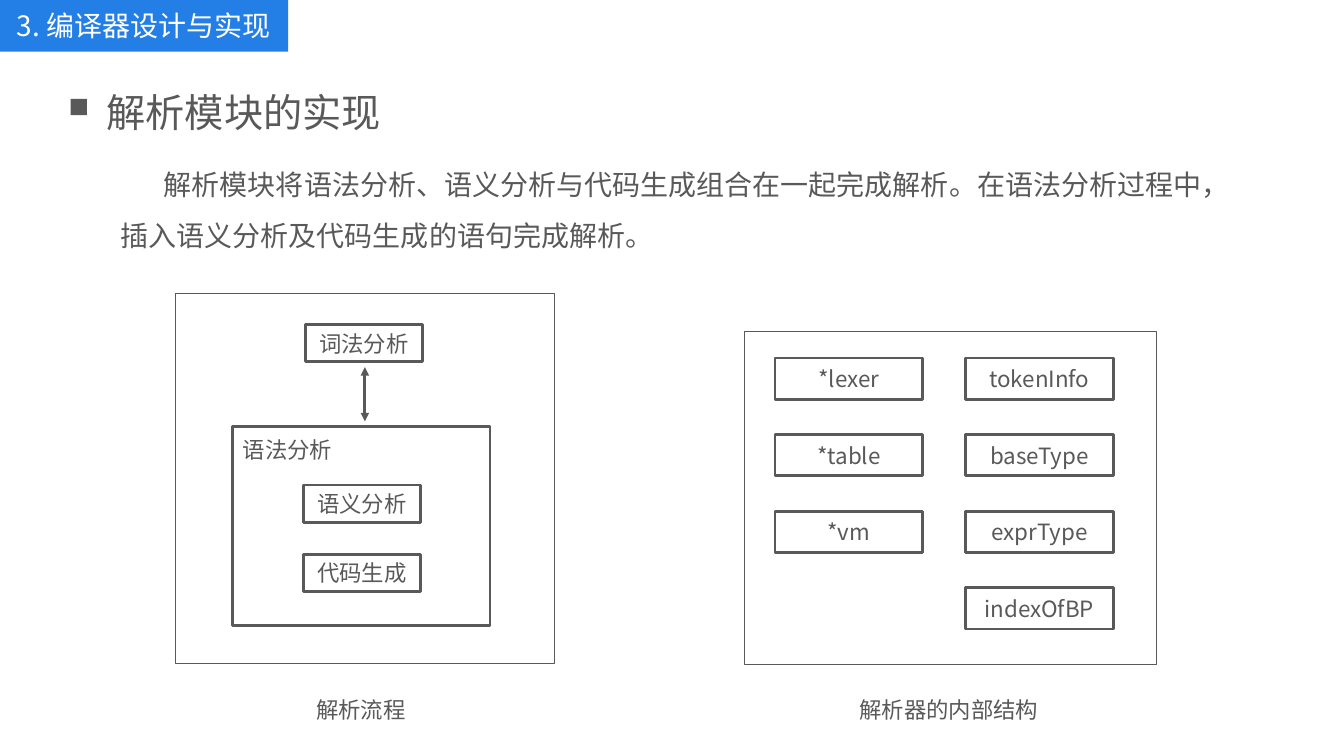
from pptx import Presentation
from pptx.dml.color import RGBColor
from pptx.enum.shapes import MSO_CONNECTOR as LINK, MSO_SHAPE as SHAPE
from pptx.enum.text import MSO_ANCHOR as ANCHOR, PP_ALIGN as ALIGN
from pptx.oxml.ns import qn
from pptx.util import Cm, Pt
from lxml.etree import SubElement

GREY = RGBColor(0x59, 0x59, 0x59)
BLUE = RGBColor(0x23, 0x7F, 0xE5)
WHITE = RGBColor(0xFF, 0xFF, 0xFF)
SANS = "Noto Sans CJK SC"


def write(shape, text, size, color=GREY, font=SANS, align=ALIGN.LEFT,
          anchor=ANCHOR.MIDDLE, space=1.0):
    frame = shape.text_frame
    frame.text = text
    frame.word_wrap = True
    frame.vertical_anchor = anchor
    para = frame.paragraphs[0]
    para.alignment = align
    para.line_spacing = space
    run = para.runs[0]
    run.font.size = Pt(size)
    run.font.name = font
    run.font.color.rgb = color
    SubElement(run.font._element, qn("a:ea")).set("typeface", SANS)
    return para


def label(slide, box, text, size=16, **style):
    shape = slide.shapes.add_textbox(*map(Cm, box))
    return write(shape, text, size, **style)


def rect(slide, box, fill=None, line=None):
    shape = slide.shapes.add_shape(SHAPE.RECTANGLE, *map(Cm, box))
    shape.shadow.inherit = False
    if fill is None:
        shape.fill.background()
    else:
        shape.fill.solid()
        shape.fill.fore_color.rgb = fill
    if line is None:
        shape.line.fill.background()
    else:
        shape.line.color.rgb = GREY
        shape.line.width = Pt(line)
    return shape


def node(slide, box, text):
    write(rect(slide, box, line=2), text, 16, align=ALIGN.CENTER)


def arrow(slide, x, top, end):
    link = slide.shapes.add_connector(LINK.STRAIGHT, Cm(x), Cm(top), Cm(x), Cm(end))
    link.line.color.rgb = GREY
    link.line.width = Pt(2)
    line = link.line._get_or_add_ln()
    for tip in ("a:headEnd", "a:tailEnd"):
        SubElement(line, qn(tip)).set("type", "triangle")
    SubElement(link._element.spPr, qn("a:effectLst"))


def banner(slide, box):
    write(rect(slide, box, fill=BLUE), "3. 编译器设计与实现", 20,
          color=WHITE, align=ALIGN.CENTER)


def intro(slide, box):
    x, y, w, h = box
    # Heading with its square marker
    rect(slide, (x, y + 0.97, 0.41, 0.41), fill=GREY)
    label(slide, (x + 0.66, y, 8.56, 1.88), "解析模块的实现", 28,
          font="Arial", anchor=ANCHOR.TOP, space=1.5)
    # Body paragraph with an indented first line
    body = label(slide, (x + 1.01, y + 2.16, w - 1.01, h - 2.16),
                 "解析模块将语法分析、语义分析与代码生成组合在一起完成解析。"
                 "在语法分析过程中，插入语义分析及代码生成的语句完成解析。",
                 20, anchor=ANCHOR.TOP, space=1.5)
    body._p.get_or_add_pPr().set("indent", str(Cm(1.09)))


def flow(slide, box):
    x, y, w, h = box
    wide, high = 2.95, 0.94
    rect(slide, box, line=0.5)
    # Lexer and its link to the grammar block
    node(slide, (x + 3.28, y + 0.79, wide, high), "词法分析")
    arrow(slide, x + w / 2, y + 1.86, y + 3.23)
    # Grammar block and its inner steps
    rect(slide, (x + 1.45, y + 3.35, 6.48, 5.03), line=2)
    label(slide, (x + 1.45, y + 3.46, wide, high), "语法分析")
    for row, step in enumerate(("语义分析", "代码生成")):
        node(slide, (x + 3.23, y + 4.83 + 1.75 * row, wide, high), step)
    label(slide, (x + 3.3, y + h + 0.36, 2.95, 1.27), "解析流程",
          anchor=ANCHOR.TOP, space=1.5)


def parts(slide, box):
    x, y, w, h = box
    rect(slide, box, line=0.5)
    # Field grid, one tuple per column
    fields = (("*lexer", "*table", "*vm"),
              ("tokenInfo", "baseType", "exprType", "indexOfBP"))
    for col, names in enumerate(fields):
        for row, name in enumerate(names):
            node(slide, (x + 0.78 + 4.8 * col, y + 0.66 + 1.93 * row,
                         3.73, 1.04), name)
    label(slide, (x + 2.66, y + h + 0.33, 5.1, 1.27), "解析器的内部结构",
          anchor=ANCHOR.TOP, space=1.5)


deck = Presentation()
deck.slide_width, deck.slide_height = Cm(33.87), Cm(19.05)
page = deck.slides.add_slide(deck.slide_layouts[6])
banner(page, (0, 0, 7.26, 1.3))
intro(page, (1.78, 1.52, 29.53, 4.98))
flow(page, (4.42, 7.39, 9.55, 9.32))
parts(page, (18.75, 8.36, 10.39, 8.38))
deck.save("out.pptx")
